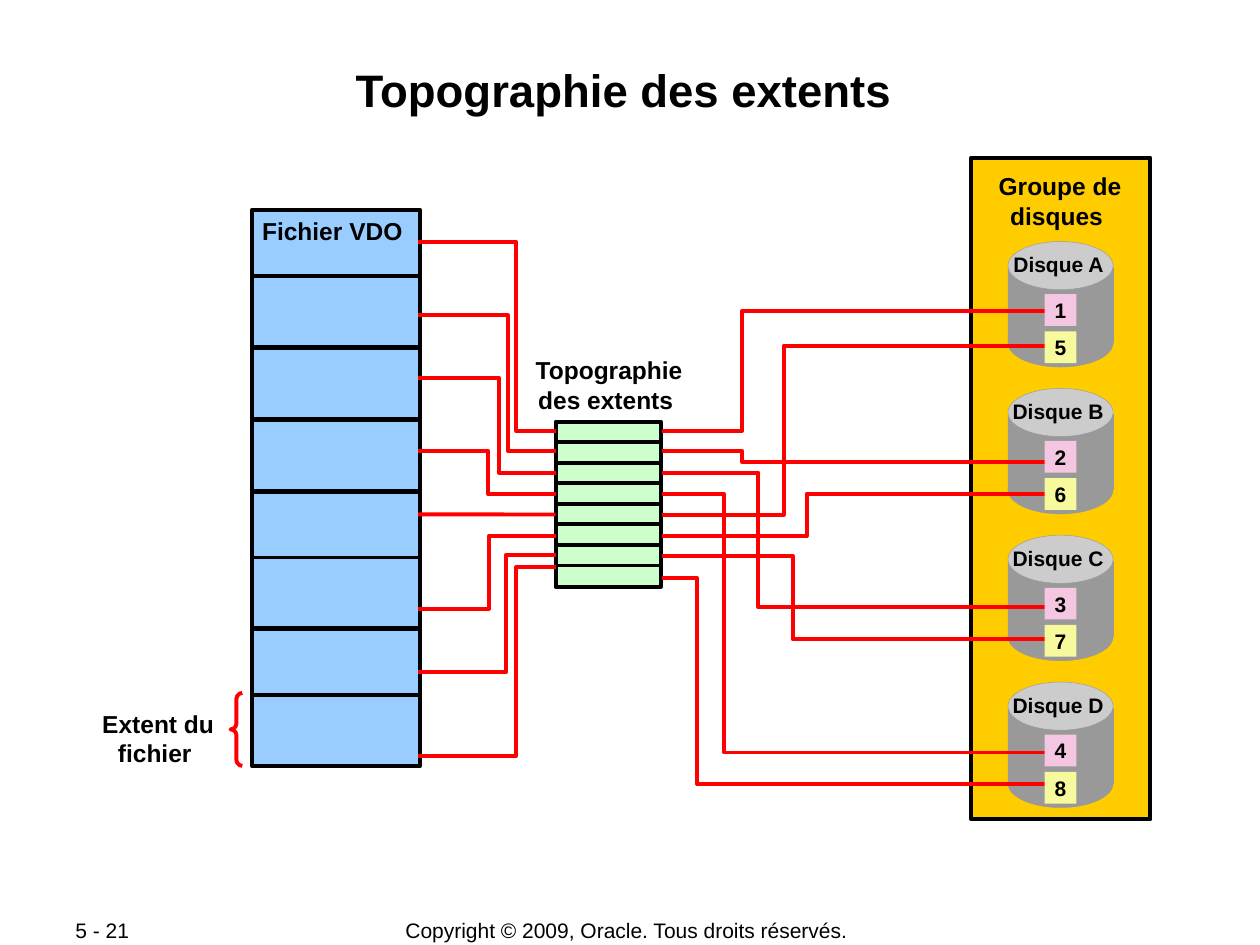
from lxml.etree import SubElement
from pptx import Presentation
from pptx.dml.color import RGBColor
from pptx.enum.shapes import MSO_CONNECTOR, MSO_SHAPE
from pptx.enum.text import MSO_ANCHOR, PP_ALIGN
from pptx.oxml.ns import qn
from pptx.util import Cm, Pt

BLACK = RGBColor(0x00, 0x00, 0x00)
RED = RGBColor(0xFF, 0x00, 0x00)
GOLD = RGBColor(0xFF, 0xCC, 0x00)
BLUE = RGBColor(0x99, 0xCC, 0xFF)
GREEN = RGBColor(0xCC, 0xFF, 0xCC)
GREY = RGBColor(0x99, 0x99, 0x99)
LIGHT_GREY = RGBColor(0xCC, 0xCC, 0xCC)
PINK = RGBColor(0xF4, 0xC6, 0xE1)
YELLOW = RGBColor(0xF7, 0xF9, 0x9D)

FONT = "Arial"
LINE_WIDTH = 2.25

# File extents (cm)
FILE_LEFT, FILE_WIDTH, EXTENT_HEIGHT = 5.08, 3.39, 1.43
EXTENT_TOPS = [4.23, 5.57, 7.02, 8.47, 9.92, 11.24, 12.69, 14.01]

# Extent map (cm)
MAP_LEFT, MAP_TOP, MAP_WIDTH = 11.2, 8.5, 2.12
MAP_CELL_HEIGHT, MAP_STEP = 0.43, 2.9 / 7

# Disks (cm)
DISK_LEFT, DISK_TOP, DISK_WIDTH, DISK_STEP = 20.32, 4.87, 2.12, 2.96
TILE_LEFT, TILE_SIZE = 21.06, 0.64

# Routes as start height, bend position, end height (cm)
FILE_ROUTES = [
    (4.88, 10.41, 8.69), (6.36, 10.24, 9.09), (7.62, 10.06, 9.53),
    (9.09, 9.84, 9.96), (12.27, 9.86, 10.8), (13.54, 10.21, 11.18),
    (15.24, 10.41, 11.43),
]
DISK_ROUTES = [
    (8.69, 14.96, 6.27), (9.09, 14.96, 9.31), (9.53, 15.29, 12.24),
    (9.96, 14.6, 15.17), (10.38, 15.8, 6.97), (10.81, 16.26, 9.96),
    (11.21, 15.98, 12.89), (11.65, 14.05, 15.8),
]


def write(frame, text, size, bold=True, align=PP_ALIGN.CENTER):
    paragraph = frame.paragraphs[0]
    paragraph.alignment = align
    run = paragraph.add_run()
    run.text = text
    run.font.name = FONT
    run.font.size = Pt(size)
    run.font.bold = bold
    run.font.color.rgb = BLACK


def add_label(slide, text, left, top, width, height, size, **style):
    frame = slide.shapes.add_textbox(
        Cm(left), Cm(top), Cm(width), Cm(height)).text_frame
    frame.word_wrap = True
    write(frame, text, size, **style)
    return frame


def add_block(slide, kind, left, top, width, height, fill=None,
              line=BLACK, line_width=LINE_WIDTH):
    block = slide.shapes.add_shape(
        kind, Cm(left), Cm(top), Cm(width), Cm(height))
    block.shadow.inherit = False
    if fill is None:
        block.fill.background()
    else:
        block.fill.solid()
        block.fill.fore_color.rgb = fill
    if line is None:
        block.line.fill.background()
    else:
        block.line.color.rgb = line
        block.line.width = Pt(line_width)
    return block


def add_route(slide, start_x, end_x, start_y, bend_x, end_y):
    builder = slide.shapes.build_freeform(Cm(start_x), Cm(start_y))
    corners = [(bend_x, start_y), (bend_x, end_y), (end_x, end_y)]
    builder.add_line_segments([(Cm(x), Cm(y)) for x, y in corners], close=False)
    route = builder.convert_to_shape()
    route.shadow.inherit = False
    route.fill.background()
    route.line.color.rgb = RED
    route.line.width = Pt(LINE_WIDTH)
    SubElement(route.line._get_or_add_ln(), qn("a:round"))


def add_straight_route(slide, map_cell):
    y = Cm(10.37)
    route = slide.shapes.add_connector(
        MSO_CONNECTOR.STRAIGHT, Cm(8.43), y, Cm(MAP_LEFT), y)
    route.end_connect(map_cell, 1)
    route.line.color.rgb = RED
    route.line.width = Pt(LINE_WIDTH)
    SubElement(route._element.spPr, qn("a:effectLst"))


def add_disk(slide, top, letter):
    parts = [
        (MSO_SHAPE.RECTANGLE, 0.52, 1.52, GREY),
        (MSO_SHAPE.OVAL, 0, 0.97, LIGHT_GREY),
        (MSO_SHAPE.OVAL, 1.56, 0.97, GREY),
    ]
    for kind, offset, height, fill in parts:
        add_block(slide, kind, DISK_LEFT, top + offset, DISK_WIDTH, height,
                  fill, GREY, 0.25)
    add_label(slide, f"Disque {letter} ", 20.12, top + 0.08, 2.54, 0.76, 12)


def add_tile(slide, top, number, fill):
    tile = add_block(slide, MSO_SHAPE.RECTANGLE, TILE_LEFT, top,
                     TILE_SIZE, TILE_SIZE, fill, line=None)
    tile.text_frame.word_wrap = False
    tile.text_frame.vertical_anchor = MSO_ANCHOR.MIDDLE
    write(tile.text_frame, str(number), 12)


def main():
    presentation = Presentation()
    presentation.slide_width = Cm(25.4)
    presentation.slide_height = Cm(19.05)
    slide = presentation.slides.add_slide(presentation.slide_layouts[6])

    # Footer
    for text, left, width, align in [
        ("Copyright © 2009, Oracle. Tous droits réservés. ",
         6.99, 11.4, PP_ALIGN.CENTER),
        ("5 - 21 ", 1.27, 2.69, PP_ALIGN.LEFT),
    ]:
        footer = add_label(slide, text, left, 18.49, width, 0.53, 12,
                           bold=False, align=align)
        footer.vertical_anchor = MSO_ANCHOR.MIDDLE

    # Title
    title = add_label(slide, "Topographie des extents ",
                      1.7, 1.22, 22, 2.44, 26)
    title.margin_left = title.margin_right = Cm(0.03)
    title.margin_top = title.margin_bottom = Cm(0.03)

    # Brace beside the last extent; the file covers its right half
    brace = add_block(slide, MSO_SHAPE.DOUBLE_BRACE, 4.65, 13.97, 2.74, 1.47,
                      line=RED)
    brace.adjustments[0] = 0.08

    # Disk group
    add_block(slide, MSO_SHAPE.RECTANGLE, 19.58, 3.18, 3.61, 13.34, GOLD)
    add_label(slide, "Groupe de disques ", 19.25, 3.33, 4.24, 1.45, 14)
    disk_tops = [DISK_TOP + i * DISK_STEP for i in range(4)]
    for top, letter in zip(disk_tops, "ABCD"):
        add_disk(slide, top, letter)

    # Extent map and its routes to the disks
    map_cells = [
        add_block(slide, MSO_SHAPE.RECTANGLE, MAP_LEFT, MAP_TOP + i * MAP_STEP,
                  MAP_WIDTH, MAP_CELL_HEIGHT, GREEN)
        for i in range(8)
    ]
    for route in DISK_ROUTES:
        add_route(slide, 13.34, 21.5, *route)

    # File extents and their routes to the map
    for top in EXTENT_TOPS:
        add_block(slide, MSO_SHAPE.RECTANGLE, FILE_LEFT, top, FILE_WIDTH,
                  EXTENT_HEIGHT, BLUE)
    for route in FILE_ROUTES:
        add_route(slide, 8.43, MAP_LEFT, *route)
    add_straight_route(slide, map_cells[4])

    # Labels
    add_label(slide, "Topographie des extents ", 10.44, 7.04, 3.68, 1.45, 14)
    add_label(slide, "Fichier VDO ", 4.65, 4.23, 4.24, 0.86, 14)
    add_label(slide, "Extent du fichier ", 1.07, 14.17, 4.24, 1.45, 14)

    # Numbered extents on the disks
    for number, top in enumerate(disk_tops, start=1):
        add_tile(slide, top + 1.81, number + 4, YELLOW)
        add_tile(slide, top + 1.06, number, PINK)

    presentation.save("out.pptx")


if __name__ == "__main__":
    main()
